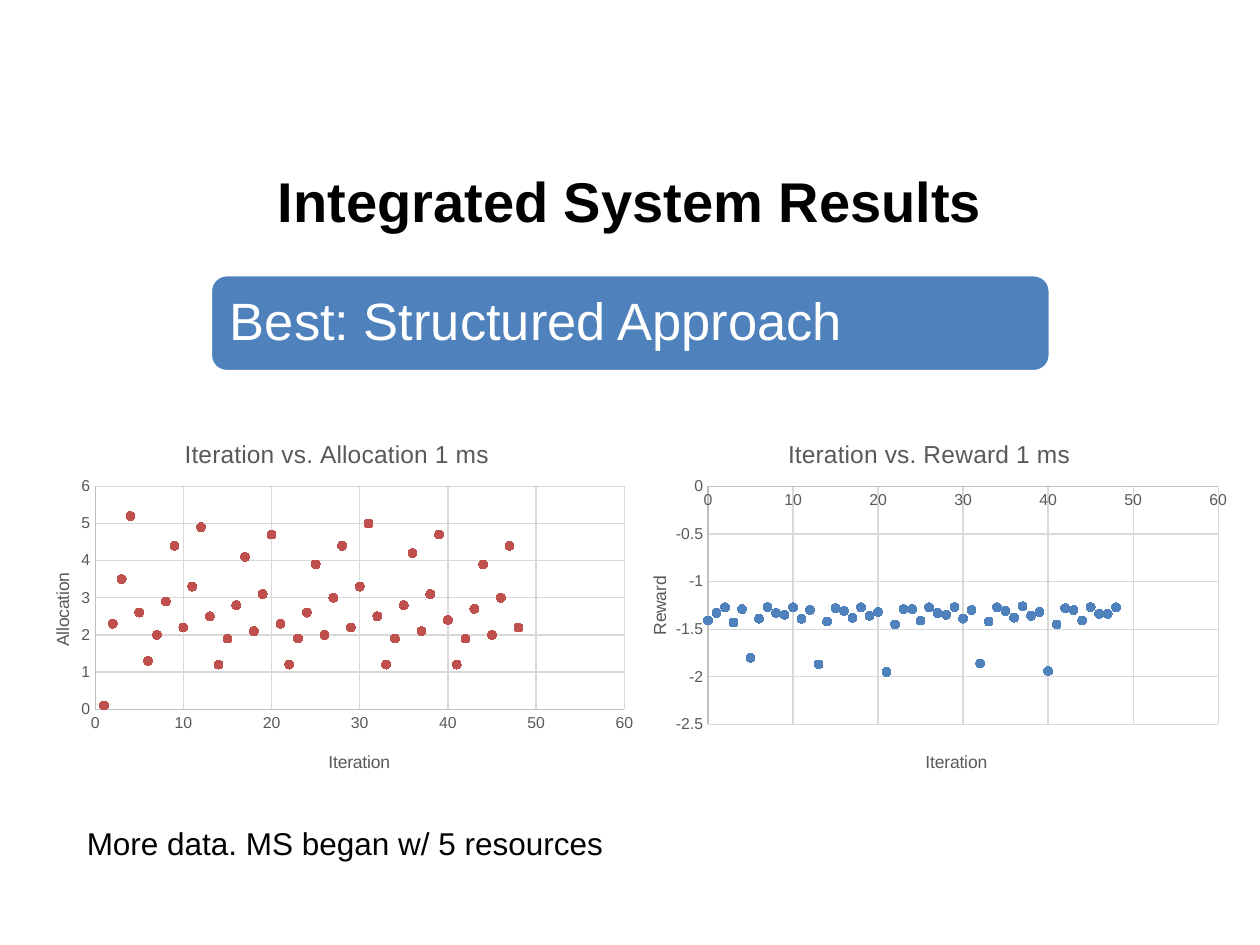
from lxml import etree
from pptx import Presentation
from pptx.chart.data import XyChartData
from pptx.dml.color import RGBColor
from pptx.enum import chart as ch, shapes, text
from pptx.oxml.ns import qn
from pptx.util import Pt

COLORS = {"black": "000000", "white": "FFFFFF", "blue": "4F81BD", "red": "C0504D",
          "label": "595959", "axis": "BFBFBF", "grid": "D9D9D9"}
FONT = "Arial"
TITLE = "Integrated System Results"
BANNER = "Best: Structured Approach"
NOTE = "More data. MS began w/ 5 resources"

# Layout entries are fractions of the chart: left, top and, for the plot, width, height
CHARTS = [
    {"title": "Iteration vs. Reward 1 ms", "y_title": "Reward", "left": 350.6, "color": "blue",
     "scale": (-2.5, 0, 0.5), "first": 0, "format": "General",
     "plot_at": (0.15, 0.19, 0.81, 0.63), "title_at": (0.27, 0.05), "y_title_at": (0.05, 0.42),
     "values": [-1.41, -1.33, -1.27, -1.43, -1.29, -1.8, -1.39, -1.27, -1.33, -1.35,
                -1.27, -1.39, -1.3, -1.87, -1.42, -1.28, -1.31, -1.38, -1.27, -1.36,
                -1.32, -1.95, -1.45, -1.29, -1.29, -1.41, -1.27, -1.33, -1.35, -1.27,
                -1.39, -1.3, -1.86, -1.42, -1.27, -1.31, -1.38, -1.26, -1.36, -1.32,
                -1.94, -1.45, -1.28, -1.3, -1.41, -1.27, -1.34, -1.34, -1.27]},
    {"title": "Iteration vs. Allocation 1 ms", "y_title": "Allocation", "left": 9.4, "color": "red",
     "scale": (0, 6, 1), "first": 1, "format": "General",
     "plot_at": (0.125, 0.19, 0.84, 0.59), "title_at": (0.26, 0.05), "y_title_at": (0.05, 0.41),
     "values": [0.1, 2.3, 3.5, 5.2, 2.6, 1.3, 2, 2.9, 4.4, 2.2, 3.3, 4.9, 2.5, 1.2, 1.9, 2.8,
                4.1, 2.1, 3.1, 4.7, 2.3, 1.2, 1.9, 2.6, 3.9, 2, 3, 4.4, 2.2, 3.3, 5, 2.5,
                1.2, 1.9, 2.8, 4.2, 2.1, 3.1, 4.7, 2.4, 1.2, 1.9, 2.7, 3.9, 2, 3, 4.4, 2.2]},
]


def rgb(name):
    return RGBColor.from_string(COLORS[name])


def style(font, size, color, bold=False):
    font.name, font.size, font.bold = FONT, Pt(size), bold
    font.color.rgb = rgb(color)


def write(frame, words, size, color, bold=False):
    run = frame.paragraphs[0].add_run()
    run.text = words
    style(run.font, size, color, bold)


def place(element, fractions):
    """Give a chart title or plot area a manual layout."""
    for old in element.findall(qn("c:layout")):
        element.remove(old)
    layout = etree.Element(qn("c:layout"))
    manual = etree.SubElement(layout, qn("c:manualLayout"))
    if len(fractions) == 4:
        etree.SubElement(manual, qn("c:layoutTarget")).set("val", "inner")
    for side in "xy":
        etree.SubElement(manual, qn(f"c:{side}Mode")).set("val", "edge")
    for side, fraction in zip("xywh", fractions):
        etree.SubElement(manual, qn(f"c:{side}")).set("val", str(fraction))
    element.insert(0 if element.find(qn("c:tx")) is None else 1, layout)


def format_axis(axis, title, title_at, scale):
    axis.minimum_scale, axis.maximum_scale, axis.major_unit = scale
    axis.major_tick_mark = axis.minor_tick_mark = ch.XL_TICK_MARK.NONE
    axis.has_major_gridlines = True
    for line, color in ((axis.format.line, "axis"), (axis.major_gridlines.format.line, "grid")):
        line.color.rgb = rgb(color)
        line.width = Pt(0.75)
    style(axis.tick_labels.font, 9, "label")
    write(axis.axis_title.text_frame, title, 10, "label")
    place(axis.axis_title._element, title_at)


def add_scatter(slide, info):
    data = XyChartData(number_format=info["format"])
    series = data.add_series("Series 1")
    for x, y in enumerate(info["values"], info["first"]):
        series.add_data_point(x, y)
    chart = slide.shapes.add_chart(ch.XL_CHART_TYPE.XY_SCATTER, Pt(info["left"]), Pt(236.9),
                                   Pt(360), Pt(216), data).chart
    style(chart.font, 10, "black")
    chart.has_legend = False
    chart.has_title = True
    write(chart.chart_title.text_frame, info["title"], 14, "label")
    place(chart.chart_title._element, info["title_at"])
    format_axis(chart.category_axis, "Iteration", (0.49, 0.88), (0, 60, 10))
    format_axis(chart.value_axis, info["y_title"], info["y_title_at"], info["scale"])
    body = chart.value_axis.axis_title._element.find(".//" + qn("a:bodyPr"))
    body.set("rot", "-5400000")
    body.set("vert", "horz")
    plot = chart.plots[0]
    plot.vary_by_categories = False
    place(chart._chartSpace.find(".//" + qn("c:plotArea")), info["plot_at"])
    points = plot.series[0]
    points.smooth = False
    points.format.line.fill.background()
    points.marker.style, points.marker.size = ch.XL_MARKER_STYLE.CIRCLE, 5
    points.marker.format.fill.solid()
    points.marker.format.fill.fore_color.rgb = rgb(info["color"])
    points.marker.format.line.color.rgb = rgb(info["color"])


def main():
    deck = Presentation()
    deck.slide_width, deck.slide_height = Pt(720), Pt(540)
    slide = deck.slides.add_slide(deck.slide_layouts[5])

    title = slide.shapes.title
    title.left, title.top, title.width, title.height = Pt(36), Pt(82.8), Pt(648), Pt(63.4)
    title.text_frame.vertical_anchor = text.MSO_ANCHOR.MIDDLE
    title.text_frame.paragraphs[0].alignment = text.PP_ALIGN.CENTER
    write(title.text_frame, TITLE, 32, "black", bold=True)

    banner = slide.shapes.add_shape(shapes.MSO_SHAPE.ROUNDED_RECTANGLE,
                                    Pt(120.2), Pt(157), Pt(480), Pt(55.4))
    banner.shadow.inherit = False
    banner.fill.solid()
    banner.fill.fore_color.rgb = rgb("blue")
    banner.line.color.rgb = rgb("white")
    banner.line.width = Pt(2)
    frame = banner.text_frame
    frame.margin_left = Pt(8.5)
    frame.vertical_anchor = text.MSO_ANCHOR.MIDDLE
    frame.paragraphs[0].alignment = text.PP_ALIGN.LEFT
    frame.paragraphs[0].line_spacing = 0.9
    write(frame, BANNER, 30, "white")

    note = slide.shapes.add_textbox(Pt(42.5), Pt(467.3), Pt(597), Pt(29))
    note.text_frame.word_wrap = True
    write(note.text_frame, NOTE, 18, "black")

    for info in CHARTS:
        add_scatter(slide, info)
    deck.save("out.pptx")


if __name__ == "__main__":
    main()
